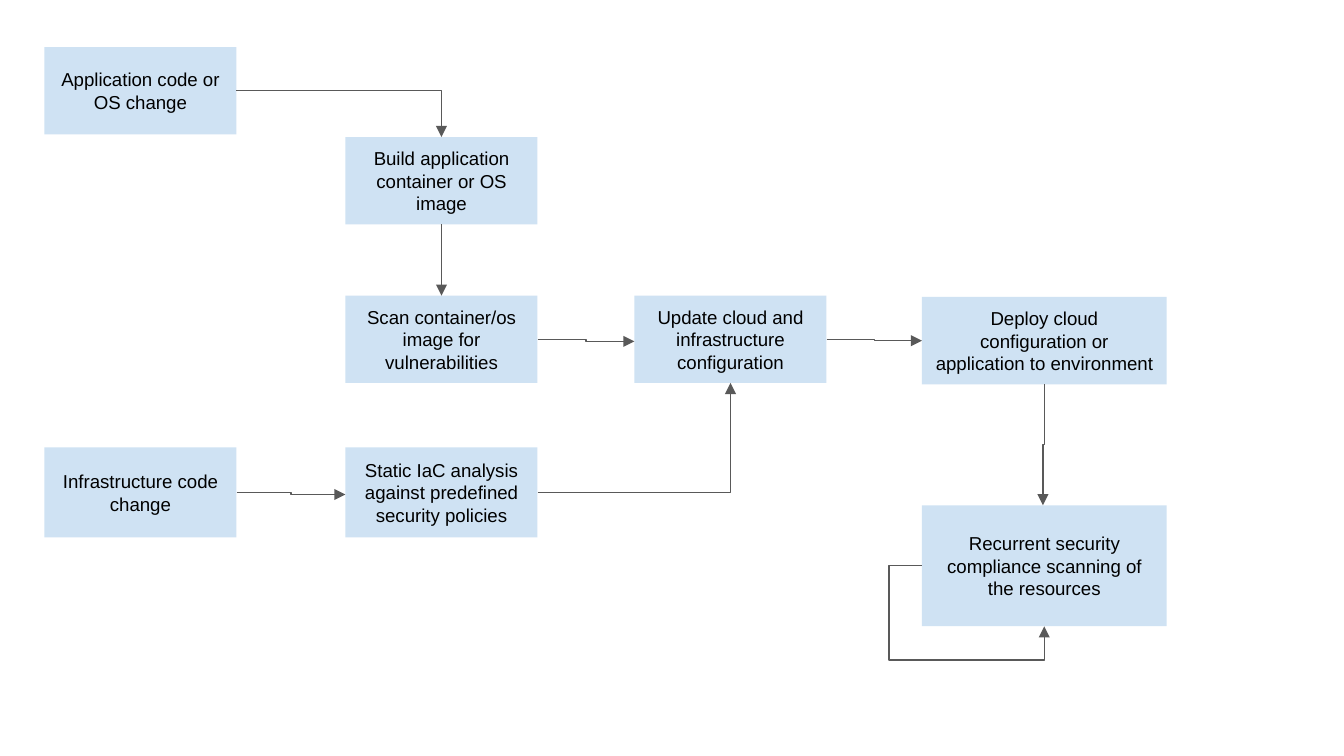
from lxml import etree
from pptx import Presentation
from pptx.dml.color import RGBColor
from pptx.enum.shapes import MSO_CONNECTOR as CONN, MSO_SHAPE as SHAPE
from pptx.enum.text import MSO_ANCHOR as ANCHOR, PP_ALIGN as ALIGN
from pptx.oxml.ns import qn
from pptx.util import Inches, Pt

COLORS = {"box": "CFE2F3", "line": "595959", "text": "000000"}
TOP, LEFT, BOTTOM, RIGHT = range(4)
BOX_W, WIDE_W, BOX_H = 1.43, 1.82, 0.65

STEPS = {
    "app": ("Application code or OS change", 0, 0, BOX_W, BOX_H),
    "build": ("Build application container or OS image", 2.24, 0.67, BOX_W, BOX_H),
    "scan": ("Scan container/os image for vulnerabilities", 2.24, 1.85, BOX_W, BOX_H),
    "update": ("Update cloud and infrastructure configuration", 4.39, 1.85, BOX_W, BOX_H),
    "deploy": ("Deploy cloud configuration or application to environment",
               6.53, 1.86, WIDE_W, BOX_H),
    "infra": ("Infrastructure code change", 0, 2.98, BOX_W, 0.67),
    "static": ("Static IaC analysis against predefined security policies",
               2.24, 2.98, BOX_W, 0.67),
    "recurrent": ("Recurrent security compliance scanning of the resources",
                  6.53, 3.41, WIDE_W, 0.9),
}

LINKS = [
    ("app", RIGHT, "build", TOP, {"bends": 2}),
    ("build", BOTTOM, "scan", TOP, {}),
    ("scan", RIGHT, "update", LEFT, {"end": (4.39, 2.19)}),
    ("update", RIGHT, "deploy", LEFT, {}),
    ("infra", RIGHT, "static", LEFT, {"end": (2.24, 3.33)}),
    ("static", RIGHT, "update", BOTTOM, {"bends": 2}),
    ("deploy", BOTTOM, "recurrent", TOP, {"end": (7.43, 3.41)}),
    ("recurrent", LEFT, "recurrent", BOTTOM, {"bends": 4, "adj": (-0.27, 1.56)}),
]


def rgb(name):
    """Look up a named colour."""
    return RGBColor.from_string(COLORS[name])


def write(tf, text, size=10, font="Arial", color="text", align=ALIGN.CENTER):
    """Put formatted text into a text frame."""
    p = tf.paragraphs[0]
    p.alignment = align
    r = p.add_run()
    r.text = text
    r.font.size, r.font.name = Pt(size), font
    r.font.color.rgb = rgb(color)


def add_step(s, text, x, y, w, h):
    """Draw one process box with its label."""
    sp = s.shapes.add_shape(SHAPE.RECTANGLE, Inches(x), Inches(y), Inches(w), Inches(h))
    sp.shadow.inherit = False
    sp.fill.solid()
    sp.fill.fore_color.rgb = rgb("box")
    sp.line.fill.background()
    tf = sp.text_frame
    tf.word_wrap = True
    tf.vertical_anchor = ANCHOR.MIDDLE
    tf.margin_left = tf.margin_right = tf.margin_top = tf.margin_bottom = Inches(0.1)
    write(tf, text)
    return sp


def turn_down(c):
    """Rotate an elbow so that it leaves its start downwards."""
    x1, y1, x2, y2 = c.begin_x, c.begin_y, c.end_x, c.end_y
    w, h = y2 - y1, abs(x2 - x1)
    xfrm = c._element.spPr.find(qn("a:xfrm"))
    for flip in ("flipH", "flipV"):
        xfrm.attrib.pop(flip, None)
    xfrm.set("rot", "5400000")
    if x2 > x1:
        xfrm.set("flipV", "1")
    c.left, c.top = (x1 + x2 - w) // 2, (y1 + y2 - h) // 2
    c.width, c.height = w, h


def add_link(s, start, start_side, stop, stop_side, bends=3, adj=(), end=None):
    """Draw an elbow arrow between two boxes, or to a given end point."""
    x, y = (Inches(v) for v in end or (0, 0))
    c = s.shapes.add_connector(CONN.ELBOW, 0, 0, x, y)
    c.begin_connect(start, start_side)
    if end:
        c.end_x, c.end_y = x, y
    else:
        c.end_connect(stop, stop_side)
    if start_side == BOTTOM:
        turn_down(c)
    c.line.color.rgb = rgb("line")
    c.line.width = Pt(0.75)
    spPr = c._element.spPr
    geom = spPr.find(qn("a:prstGeom"))
    geom.set("prst", f"bentConnector{bends}")
    guides = geom.find(qn("a:avLst"))
    for i, value in enumerate(adj, 1):
        etree.SubElement(guides, qn("a:gd"), name=f"adj{i}",
                         fmla=f"val {round(value * 100000)}")
    etree.SubElement(spPr.find(qn("a:ln")), qn("a:tailEnd"), type="triangle")
    etree.SubElement(spPr, qn("a:effectLst"))


def add_pipeline(s, left, top):
    """Draw the delivery pipeline from its top left corner."""
    boxes = {key: add_step(s, text, left + x, top + y, w, h)
             for key, (text, x, y, w, h) in STEPS.items()}
    for start, start_side, stop, stop_side, route in LINKS:
        if "end" in route:
            x, y = route["end"]
            route = {**route, "end": (left + x, top + y)}
        add_link(s, boxes[start], start_side, boxes[stop], stop_side, **route)


def main():
    """Build and save the slide."""
    prs = Presentation()
    prs.slide_width = Inches(10)
    prs.slide_height = prs.slide_width * 9 // 16
    s = prs.slides.add_slide(prs.slide_layouts[6])
    add_pipeline(s, 0.33, 0.35)
    prs.save("out.pptx")


if __name__ == "__main__":
    main()
